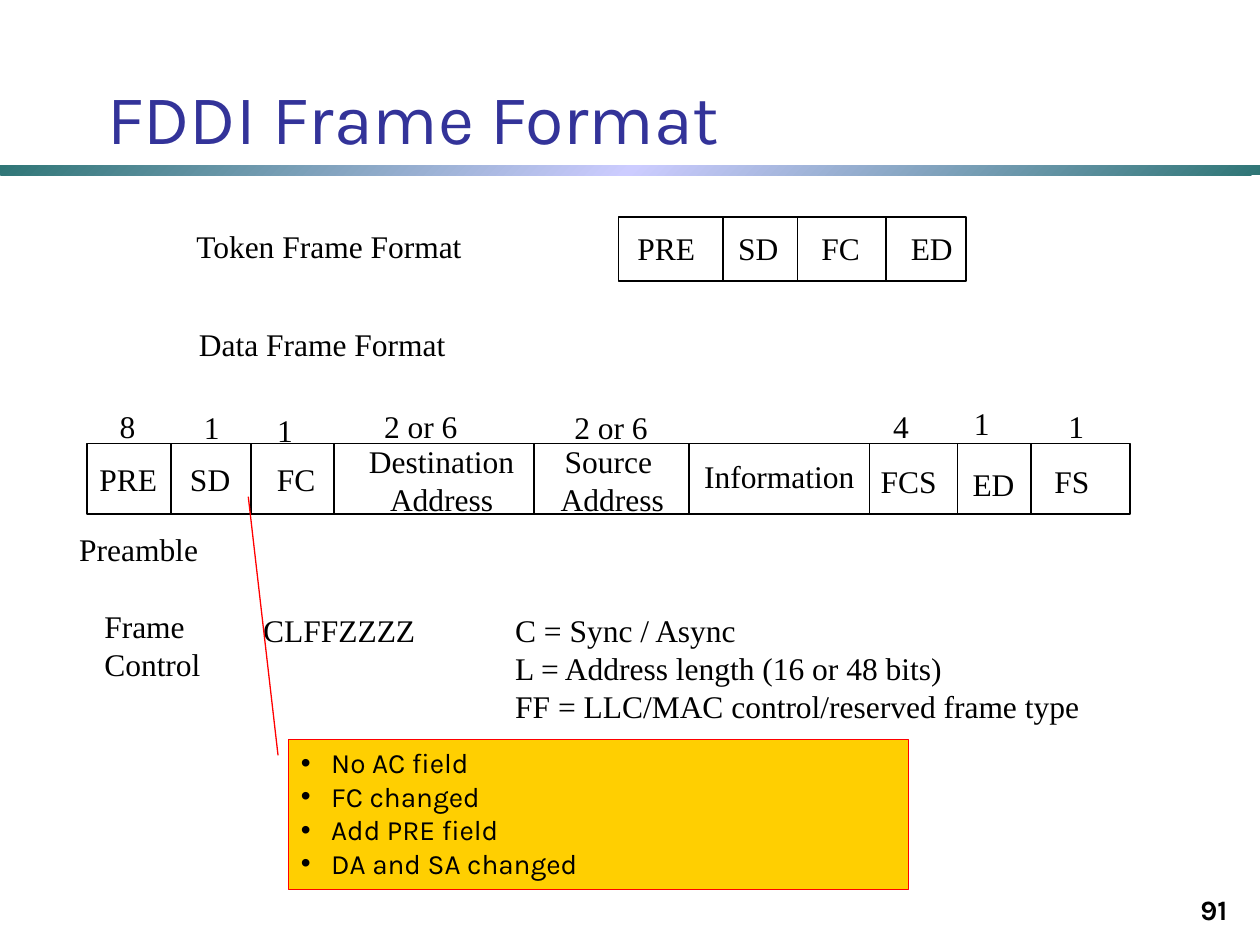
from copy import deepcopy
from dataclasses import dataclass

from lxml.etree import SubElement
from pptx import Presentation
from pptx.dml.color import RGBColor
from pptx.enum.shapes import MSO_CONNECTOR, MSO_SHAPE
from pptx.enum.text import MSO_ANCHOR, MSO_AUTO_SIZE, PP_ALIGN
from pptx.oxml.ns import qn
from pptx.util import Inches, Pt


@dataclass(frozen=True)
class Theme:
    """Colours, fonts and type sizes of the slide."""
    ink: RGBColor = RGBColor.from_string("000000")
    title: RGBColor = RGBColor.from_string("333399")
    teal: RGBColor = RGBColor.from_string("2F7676")
    lilac: RGBColor = RGBColor.from_string("CCCCFF")
    amber: RGBColor = RGBColor.from_string("FFCF01")
    red: RGBColor = RGBColor.from_string("FF0000")
    sans: str = "Karla"
    serif: str = "Times New Roman"
    title_size: Pt = Pt(40)
    body_size: Pt = Pt(18)
    note_size: Pt = Pt(16)
    rule: Pt = Pt(1)
    note_rule: Pt = Pt(0.75)


THEME = Theme()

TOKEN_DIVIDERS = (5.74, 6.33, 7.03)
TOKEN_FIELDS = (
    ("PRE", (4.96, 1.77, 0.74, 0.4)),
    ("SD", (5.76, 1.77, 0.54, 0.4)),
    ("FC", (6.42, 1.77, 0.54, 0.4)),
    ("ED", (7.13, 1.77, 0.55, 0.4)),
)
DATA_DIVIDERS = (1.36, 1.99, 2.65, 4.24, 5.47, 6.9, 7.6, 8.18)
DATA_FIELDS = (
    ("PRE", (0.69, 3.6, 0.68, 0.4)),
    ("SD", (1.41, 3.6, 0.54, 0.4)),
    ("FC", (2.1, 3.6, 0.54, 0.4)),
    ("Destination\nAddress", (2.82, 3.46, 1.37, 0.7)),
    ("Source \nAddress", (4.34, 3.46, 1.04, 0.7)),
    ("Information", (5.49, 3.58, 1.43, 0.4)),
    ("FCS", (6.89, 3.62, 0.68, 0.4)),
    ("ED", (7.62, 3.64, 0.55, 0.4)),
    ("FS", (8.27, 3.62, 0.5, 0.4)),
)
BYTE_COUNTS = (
    ("8", (0.85, 3.18, 0.32, 0.4)),
    ("1", (1.52, 3.19, 0.32, 0.4)),
    ("1", (2.1, 3.21, 0.32, 0.4)),
    ("2 or 6", (2.95, 3.18, 0.8, 0.4)),
    ("2 or 6", (4.46, 3.19, 0.8, 0.4)),
    ("4", (6.99, 3.18, 0.32, 0.4)),
    ("1", (7.63, 3.16, 0.32, 0.4)),
    ("1", (8.38, 3.18, 0.32, 0.4)),
)
CAPTIONS = (
    ("Token Frame Format", (1.46, 1.75, 2.34, 0.4)),
    ("Data Frame Format", (1.48, 2.53, 2.18, 0.4)),
    ("Preamble", (0.53, 4.16, 1.18, 0.4)),
    ("Frame\nControl", (0.73, 4.77, 1, 0.7)),
)
FRAME_CONTROL = (
    "CLFFZZZZ\tC = Sync / Async\n"
    "\tL = Address length (16 or 48 bits)\n"
    "\tFF = LLC/MAC control/reserved frame type"
)
CHANGES = "No AC field\nFC changed\nAdd PRE field\nDA and SA changed"


def inches(box):
    """Turn a box of numbers into lengths."""
    return [Inches(length) for length in box]


def style(text_frame, font, size, color, align=PP_ALIGN.LEFT, bold=False):
    """Format every run of a text frame."""
    for paragraph in text_frame.paragraphs:
        paragraph.alignment = align
        for run in paragraph.runs:
            run.font.name = font
            run.font.size = size
            run.font.color.rgb = color
            run.font.bold = bold


def add_label(slide, text, box, align=PP_ALIGN.LEFT, wrap=False):
    """Add serif text in the box and return its text frame."""
    text_frame = slide.shapes.add_textbox(*inches(box)).text_frame
    text_frame.text = text
    text_frame.word_wrap = wrap
    text_frame.auto_size = MSO_AUTO_SIZE.SHAPE_TO_FIT_TEXT
    style(text_frame, THEME.serif, THEME.body_size, THEME.ink, align)
    return text_frame


def add_title(slide, box):
    """Place the title placeholder."""
    title = slide.shapes.title
    title.left, title.top, title.width, title.height = inches(box)
    title.text_frame.text = "FDDI Frame Format"
    title.text_frame.vertical_anchor = MSO_ANCHOR.BOTTOM
    style(title.text_frame, THEME.sans, THEME.title_size, THEME.title)


def add_title_band(slide, box):
    """Draw the three-stop gradient band under the title."""
    band = slide.shapes.add_shape(MSO_SHAPE.RECTANGLE, *inches(box))
    band.shadow.inherit = False
    band.line.fill.background()
    band.fill.gradient()
    band.fill.gradient_angle = 315
    stop_list = band.fill._fill._gradFill.find(qn("a:gsLst"))
    stop_list.append(deepcopy(stop_list[-1]))
    colors = (THEME.teal, THEME.lilac, THEME.teal)
    for index, (stop, color) in enumerate(zip(band.fill.gradient_stops, colors)):
        stop.position = index / 2
        stop.color.rgb = color


def add_frame(slide, box, dividers, fields):
    """Draw a frame outline with its dividers and field names."""
    left, top, width, height = box
    outline = slide.shapes.add_shape(MSO_SHAPE.RECTANGLE, *inches(box))
    outline.shadow.inherit = False
    outline.fill.background()
    outline.line.color.rgb = THEME.ink
    outline.line.width = THEME.rule
    for x in dividers:
        divider = slide.shapes.add_connector(
            MSO_CONNECTOR.STRAIGHT, *inches((x, top, x, top + height)))
        divider.line.color.rgb = THEME.ink
        divider.line.width = THEME.rule
        SubElement(divider._element.spPr, qn("a:effectLst"))
    for name, field_box in fields:
        align = PP_ALIGN.CENTER if "\n" in name else PP_ALIGN.LEFT
        add_label(slide, name, field_box, align)


def add_frame_control(slide, box):
    """Add the frame control legend, aligned on one tab stop."""
    text_frame = add_label(slide, FRAME_CONTROL, box, wrap=True)
    for paragraph in text_frame.paragraphs:
        tabs = SubElement(paragraph._p.get_or_add_pPr(), qn("a:tabLst"))
        SubElement(tabs, qn("a:tab"), pos=str(Inches(2)), algn="l")


def add_changes(slide, box):
    """Add the bulleted callout that points at the frame."""
    callout = slide.shapes.add_shape(MSO_SHAPE.LINE_CALLOUT_1, *inches(box))
    for index, value in enumerate((0.105, -0.017, -1.62, -0.065)):
        callout.adjustments[index] = value
    callout.shadow.inherit = False
    callout.fill.solid()
    callout.fill.fore_color.rgb = THEME.amber
    callout.line.color.rgb = THEME.red
    callout.line.width = THEME.note_rule
    text_frame = callout.text_frame
    text_frame.text = CHANGES
    text_frame.word_wrap = True
    text_frame.vertical_anchor = MSO_ANCHOR.TOP
    for paragraph in text_frame.paragraphs:
        properties = paragraph._p.get_or_add_pPr()
        properties.set("marL", str(Inches(0.24)))
        properties.set("indent", str(Inches(-0.24)))
        SubElement(properties, qn("a:buFont"), typeface="Arial")
        SubElement(properties, qn("a:buChar"), char="•")
    style(text_frame, THEME.sans, THEME.note_size, THEME.ink)


def add_page_number(slide, box):
    """Add the page number at the lower right."""
    text_frame = slide.shapes.add_textbox(*inches(box)).text_frame
    text_frame.text = "91"
    text_frame.word_wrap = True
    text_frame.vertical_anchor = MSO_ANCHOR.BOTTOM
    style(text_frame, THEME.sans, THEME.note_size, THEME.ink, PP_ALIGN.RIGHT, True)


def main():
    """Build and save the slide."""
    deck = Presentation()
    deck.slide_width, deck.slide_height = Inches(10), Inches(7.5)
    slide = deck.slides.add_slide(deck.slide_layouts[5])
    add_title_band(slide, (0, 1.31, 10, 0.08))
    add_title(slide, (0.75, 0.36, 9.25, 0.95))
    add_frame(slide, (4.91, 1.72, 2.76, 0.51), TOKEN_DIVIDERS, TOKEN_FIELDS)
    add_frame(slide, (0.69, 3.52, 8.28, 0.56), DATA_DIVIDERS, DATA_FIELDS)
    for text, box in BYTE_COUNTS + CAPTIONS:
        add_label(slide, text, box)
    add_frame_control(slide, (1.99, 4.8, 7.07, 1))
    add_changes(slide, (2.29, 5.87, 4.92, 1.19))
    add_page_number(slide, (7.76, 6.9, 2.08, 0.5))
    deck.save("out.pptx")


if __name__ == "__main__":
    main()
